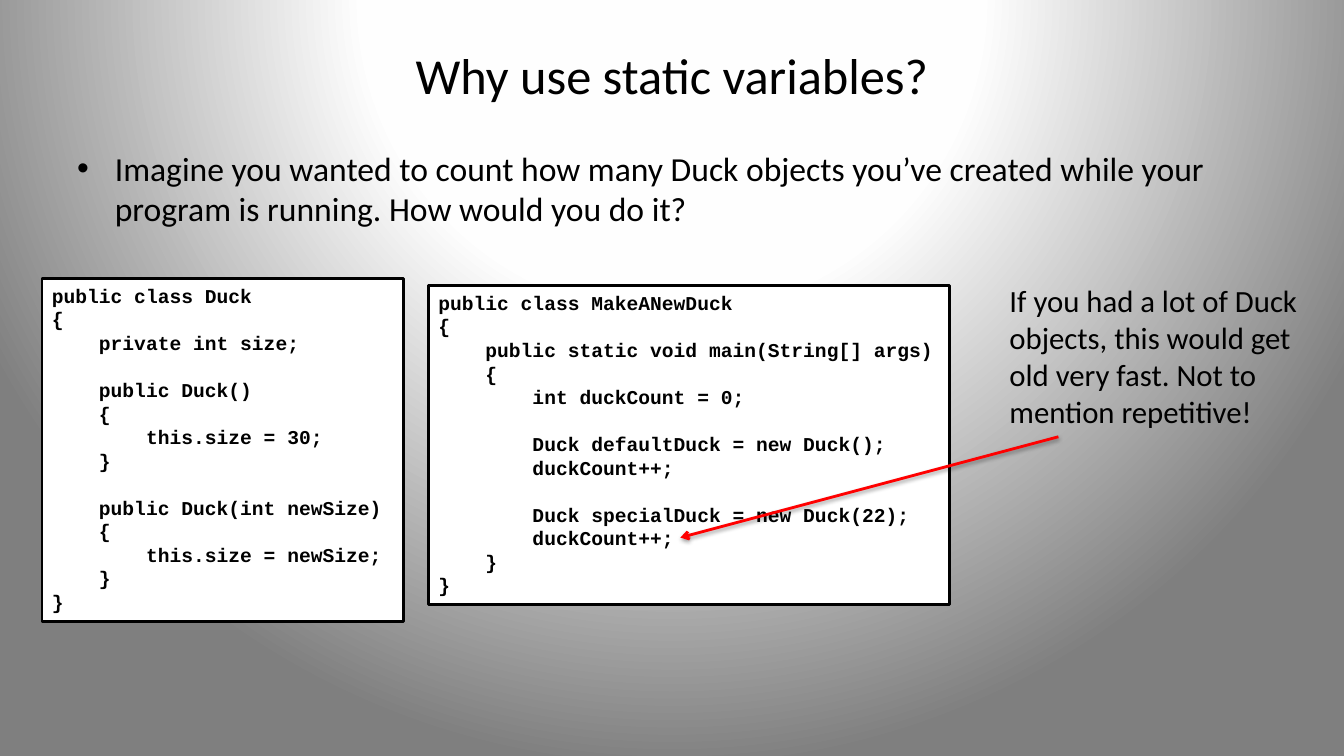
"""Build the slide on counting Duck objects with static variables."""
from lxml.etree import SubElement
from pptx import Presentation
from pptx.dml.color import RGBColor
from pptx.enum.shapes import MSO_CONNECTOR as Connector, MSO_SHAPE as Shape
from pptx.enum.text import MSO_ANCHOR as Anchor, PP_ALIGN as Align
from pptx.oxml import parse_xml
from pptx.oxml.ns import nsdecls, qn
from pptx.util import Pt

COLORS = {"ink": "000000", "paper": "FFFFFF", "near": "FEFEFE", "edge": "7F7F7F", "arrow": "FF0000"}
BODY = {"name": "Calibri", "size": 24}
CODE = {"name": "Courier New", "size": 14, "bold": True}

QUESTION = (
    "Imagine you wanted to count how many Duck objects you’ve created "
    "while your program is running. How would you do it?"
)
REMARK = "If you had a lot of Duck\nobjects, this would get\nold very fast. Not to\vmention repetitive!"
DUCK = """public class Duck
{
    private int size;

    public Duck()
    {
        this.size = 30;
    }

    public Duck(int newSize)
    {
        this.size = newSize;
    }
}"""
MAKER = """public class MakeANewDuck
{
    public static void main(String[] args)
    {
        int duckCount = 0;

        Duck defaultDuck = new Duck();
        duckCount++;

        Duck specialDuck = new Duck(22);
        duckCount++;
    }
}"""


def color(name):
    return RGBColor.from_string(COLORS[name])


def paint_background(page):
    page.background.fill.gradient()
    plain = page.element.find(".//" + qn("a:gradFill"))
    stops = "".join(
        f'<a:gs pos="{percent * 1000}"><a:srgbClr val="{COLORS[name]}"/></a:gs>'
        for percent, name in ((0, "paper"), (40, "near"), (100, "edge"))
    )
    radial = parse_xml(
        f'<a:gradFill {nsdecls("a")} rotWithShape="1"><a:gsLst>{stops}</a:gsLst>'
        '<a:path path="circle"><a:fillToRect l="50000" t="-80000" r="50000" b="180000"/>'
        "</a:path></a:gradFill>"
    )
    plain.getparent().replace(plain, radial)


def write(box, text, look, align=Align.LEFT, anchor=Anchor.TOP, wrap=True):
    frame = box.text_frame
    frame.word_wrap = wrap
    frame.vertical_anchor = anchor
    frame.text = text
    for para in frame.paragraphs:
        para.alignment = align
        if not para.runs:
            SubElement(para._p, qn("a:endParaRPr"), sz=str(look["size"] * 100))
        for span in para.runs:
            for key, value in look.items():
                setattr(span.font, key, Pt(value) if key == "size" else value)
            span.font.color.rgb = color("ink")


def add_title(page, text):
    title = page.shapes.title
    for key, value in {"left": 48, "top": 21.6, "width": 864, "height": 62.6}.items():
        setattr(title, key, Pt(value))
    write(title, text, BODY | {"size": 36}, Align.CENTER, Anchor.MIDDLE)


def add_text(page, area, text, look, wrap=True):
    box = page.shapes.add_textbox(*map(Pt, area))
    write(box, text, look, wrap=wrap)
    return box


def add_bullet(box):
    for para in box.text_frame.paragraphs:
        layout = para._p.get_or_add_pPr()
        layout.set("marL", str(Pt(27)))
        layout.set("indent", str(-Pt(27)))
        SubElement(layout, qn("a:buFont"), typeface="Arial")
        SubElement(layout, qn("a:buChar"), char="•")


def add_code(page, area, text):
    box = page.shapes.add_shape(Shape.RECTANGLE, *map(Pt, area))
    box.shadow.inherit = False
    box.fill.solid()
    box.fill.fore_color.rgb = color("paper")
    box.line.color.rgb = color("ink")
    box.line.width = Pt(2)
    write(box, text, CODE)


def add_arrow(page, start, end):
    arrow = page.shapes.add_connector(Connector.STRAIGHT, *map(Pt, start + end))
    arrow.line.color.rgb = color("arrow")
    arrow.line.width = Pt(2)
    SubElement(arrow.line._get_or_add_ln(), qn("a:tailEnd"), type="arrow")
    effects = SubElement(arrow._element.spPr, qn("a:effectLst"))
    shadow = SubElement(
        effects, qn("a:outerShdw"), blurRad=str(Pt(3.1)), dist=str(Pt(1.6)), dir="5400000", rotWithShape="0"
    )
    tint = SubElement(shadow, qn("a:srgbClr"), val=COLORS["ink"])
    SubElement(tint, qn("a:alpha"), val="38000")


def main():
    deck = Presentation()
    deck.slide_width, deck.slide_height = Pt(960), Pt(540)
    page = deck.slides.add_slide(deck.slide_layouts.get_by_name("Title Only"))
    paint_background(page)
    add_title(page, "Why use static variables?")
    add_bullet(add_text(page, (48, 102, 864, 84), QUESTION, BODY))
    add_code(page, (30, 199.2, 258, 245), DUCK)
    add_code(page, (306, 204.2, 372, 227.5), MAKER)
    add_text(page, (714, 198, 222.5, 113.8), REMARK, BODY | {"size": 22}, wrap=False)
    add_arrow(page, (756, 312), (486, 384))
    deck.save("out.pptx")


if __name__ == "__main__":
    main()
